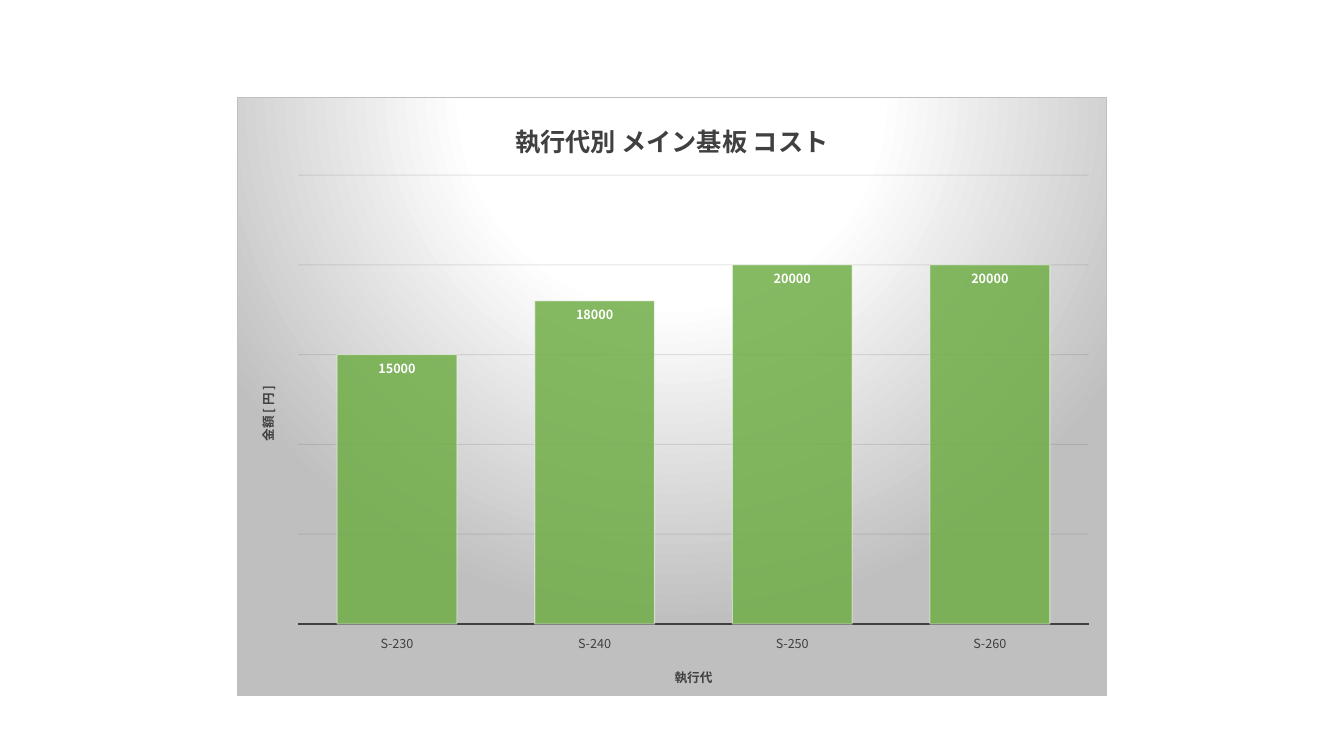
"""Build a slide with a column chart of main board cost per generation."""
from dataclasses import dataclass

from lxml import etree
from pptx import Presentation
from pptx.chart.axis import CategoryAxis, ValueAxis
from pptx.chart.chart import Chart
from pptx.chart.data import CategoryChartData
from pptx.dml.color import RGBColor
from pptx.enum.chart import XL_CHART_TYPE, XL_LABEL_POSITION, XL_TICK_LABEL_POSITION, XL_TICK_MARK
from pptx.oxml import parse_xml
from pptx.oxml.ns import nsdecls, qn
from pptx.text.text import Font, TextFrame
from pptx.util import Cm, Pt

COLUMNS = XL_CHART_TYPE.COLUMN_CLUSTERED
INSIDE_END = XL_LABEL_POSITION.INSIDE_END
NO_TICK = XL_TICK_MARK.NONE
LOW = XL_TICK_LABEL_POSITION.LOW

WHITE = RGBColor(0xFF, 0xFF, 0xFF)
BLACK = RGBColor(0x0D, 0x0D, 0x0D)
DARK = RGBColor(0x40, 0x40, 0x40)
SILVER = RGBColor(0xBF, 0xBF, 0xBF)
GREEN = RGBColor(0x70, 0xAD, 0x47)
TYPEFACE = "Noto Sans CJK JP"


@dataclass(frozen=True)
class Caption:
    text: str
    size: float
    rotation: int = 0


@dataclass(frozen=True)
class Cost:
    generation: str
    yen: int


HEADING = Caption("執行代別 メイン基板 コスト", 18)
GENERATION_CAPTION = Caption("執行代", 9)
AMOUNT_CAPTION = Caption("金額 [ 円 ]", 9, -90)
COSTS = (
    Cost("S-230", 15000),
    Cost("S-240", 18000),
    Cost("S-250", 20000),
    Cost("S-260", 20000),
)
GRADIENT_STOPS = ((0, WHITE), (39, WHITE), (100, SILVER))
PLOT_LAYOUT = {"x": 0.07, "y": 0.13, "w": 0.91, "h": 0.75}


def style_font(font: Font, size: float, color: RGBColor, bold: bool = False) -> None:
    """Apply the chart typeface with a size, colour and weight."""
    font.name = TYPEFACE
    font.size = Pt(size)
    font.bold = bold
    font.color.rgb = color


def write_caption(frame: TextFrame, caption: Caption) -> None:
    """Write a bold dark caption, turned if it asks for that."""
    run = frame.paragraphs[0].add_run()
    run.text = caption.text
    style_font(run.font, caption.size, DARK, bold=True)
    body = next(frame.paragraphs[0]._p.getparent().iter(qn("a:bodyPr")))
    body.set("rot", str(caption.rotation * 60000))
    body.set("vert", "horz")


def set_opacity(owner: etree.ElementBase, percent: int, *steps: str) -> None:
    """Set the opacity of the solid colour found below the given steps."""
    route = "/".join(qn(step) for step in ("c:spPr", *steps, "a:solidFill", "a:srgbClr"))
    etree.SubElement(owner.find(route), qn("a:alpha")).set("val", str(percent * 1000))


def paint_background(chart: Chart) -> None:
    """Fill the chart area with a radial gradient inside a thin border."""
    stops = "".join(
        f'<a:gs pos="{place * 1000}"><a:srgbClr val="{color}"/></a:gs>'
        for place, color in GRADIENT_STOPS
    )
    area = parse_xml(
        f'<c:spPr {nsdecls("c", "a")}><a:gradFill><a:gsLst>{stops}</a:gsLst>'
        '<a:path path="circle"><a:fillToRect l="50000" t="-80000" r="50000" b="180000"/></a:path>'
        f'</a:gradFill><a:ln w="{Pt(0.75)}"><a:solidFill><a:srgbClr val="{SILVER}"/></a:solidFill>'
        "</a:ln></c:spPr>"
    )
    chart.element.find(qn("c:chart")).addnext(area)


def place_plot(chart: Chart) -> None:
    """Fix the inner plot area as fractions of the chart."""
    sizes = "".join(f'<c:{key} val="{value}"/>' for key, value in PLOT_LAYOUT.items())
    layout = parse_xml(
        f'<c:layout {nsdecls("c")}><c:manualLayout><c:layoutTarget val="inner"/>'
        f'<c:xMode val="edge"/><c:yMode val="edge"/>{sizes}</c:manualLayout></c:layout>'
    )
    plot_area = next(chart.element.iter(qn("c:plotArea")))
    for previous in plot_area.findall(qn("c:layout")):
        plot_area.remove(previous)
    plot_area.insert(0, layout)


def style_generations(axis: CategoryAxis) -> None:
    """Style the generation axis."""
    axis.major_tick_mark = axis.minor_tick_mark = NO_TICK
    axis.tick_label_position = LOW
    axis.has_major_gridlines = False
    style_font(axis.tick_labels.font, 9, DARK)
    axis.format.line.color.rgb = DARK
    axis.format.line.width = Pt(1.5)
    write_caption(axis.axis_title.text_frame, GENERATION_CAPTION)


def style_amounts(axis: ValueAxis) -> None:
    """Hide the amount axis but keep its gridlines and caption."""
    axis.visible = False
    axis.minimum_scale, axis.maximum_scale, axis.major_unit = 0, 25000, 5000
    axis.has_major_gridlines = True
    grid = axis.major_gridlines.format
    grid.line.color.rgb = BLACK
    grid.line.width = Pt(0.75)
    set_opacity(grid.element, 10, "a:ln")
    write_caption(axis.axis_title.text_frame, AMOUNT_CAPTION)


def style_columns(chart: Chart) -> None:
    """Style the columns and their value labels."""
    plot = chart.plots[0]
    plot.gap_width = 65
    plot.vary_by_categories = False
    costs = plot.series[0]
    costs.format.fill.solid()
    costs.format.fill.fore_color.rgb = GREEN
    costs.format.line.color.rgb = WHITE
    costs.format.line.width = Pt(0.75)
    set_opacity(costs.format.element, 85)
    set_opacity(costs.format.element, 50, "a:ln")
    labels = costs.data_labels
    labels.show_value = True
    labels.position = INSIDE_END
    style_font(labels.font, 9, WHITE, bold=True)


def main() -> None:
    """Build and save the slide."""
    deck = Presentation()
    deck.slide_width, deck.slide_height = Cm(33.87), Cm(19.05)
    slide = deck.slides.add_slide(deck.slide_layouts[6])

    cost_data = CategoryChartData()
    cost_data.categories = [cost.generation for cost in COSTS]
    cost_data.add_series("Series 1", [cost.yen for cost in COSTS])
    chart = slide.shapes.add_chart(
        COLUMNS, Cm(5.97), Cm(2.44), Cm(21.92), Cm(15.11), cost_data
    ).chart

    style_font(chart.font, 10, DARK)
    chart.has_legend = False
    chart.has_title = True
    chart.chart_title.include_in_layout = False
    write_caption(chart.chart_title.text_frame, HEADING)
    style_generations(chart.category_axis)
    style_amounts(chart.value_axis)
    style_columns(chart)
    place_plot(chart)
    paint_background(chart)

    for latin in list(chart.element.iter(qn("a:latin"))):
        latin.addnext(parse_xml(f'<a:ea {nsdecls("a")} typeface="{TYPEFACE}"/>'))
    deck.save("out.pptx")


if __name__ == "__main__":
    main()
